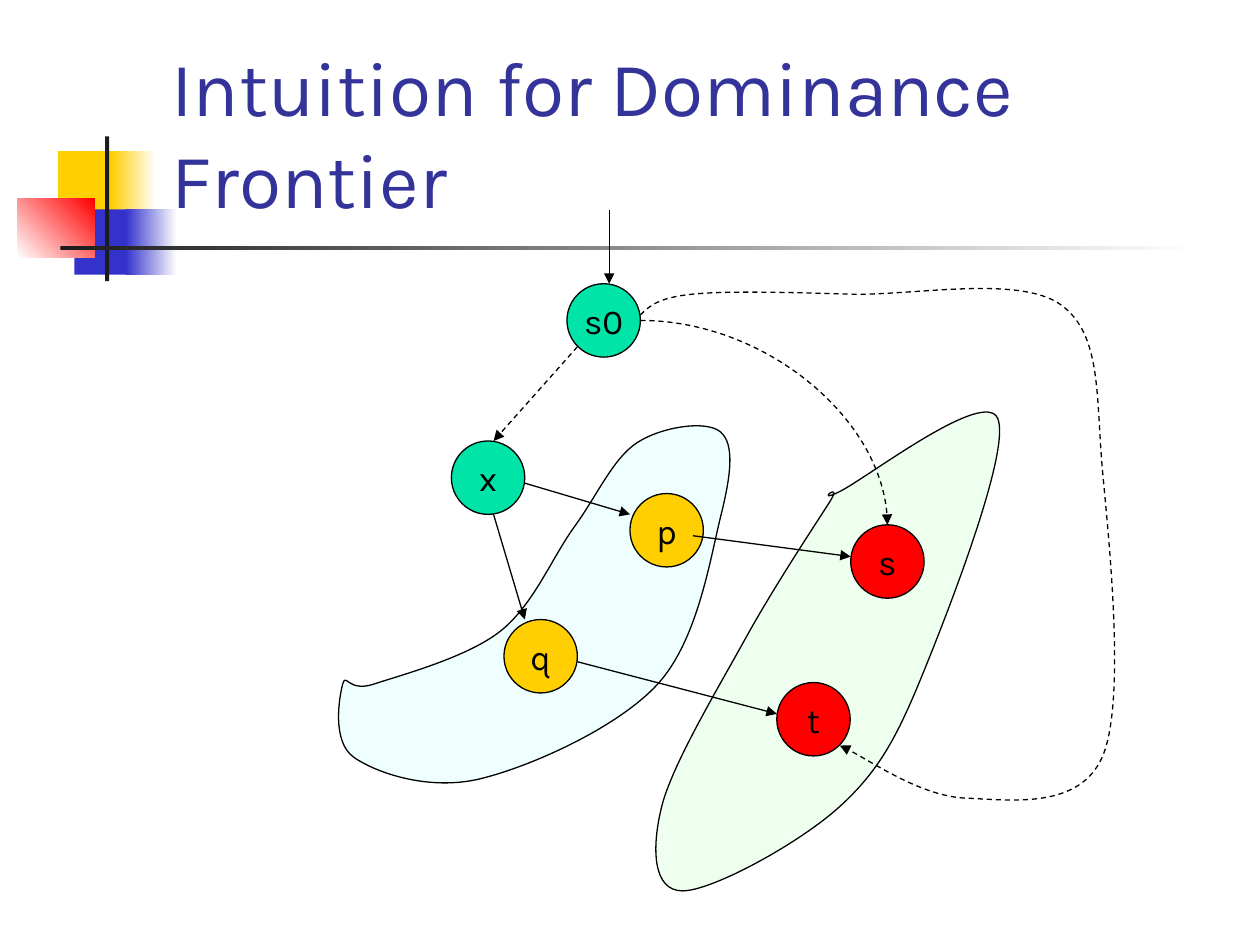
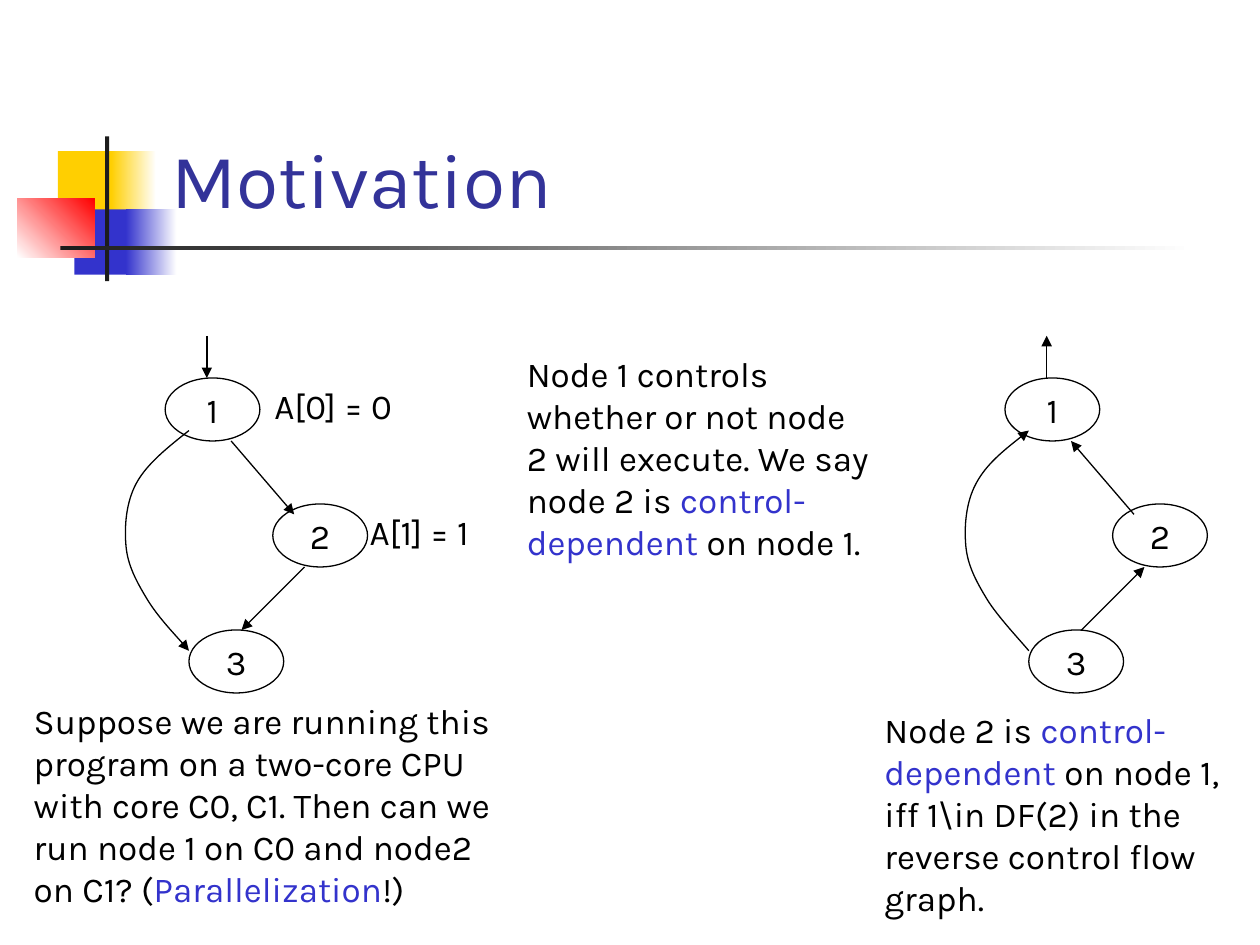
import pptx
import pptx.dml.color
import pptx.enum.dml
import pptx.enum.shapes
import pptx.enum.text
import pptx.oxml.ns
import pptx.util
from lxml import etree

Cm = pptx.util.Cm
FONT = "Karla"
TITLE_COLOR = "333399"
BLACK, WHITE, INK = "000000", "FFFFFF", "1C1C1C"
YELLOW, BLUE, RED, GREEN = "FFCF01", "3333CC", "FF0000", "00E4A8"
PALE_CYAN, PALE_GREEN = "CCFFFF", "CCFFCC"
TEXT_SIZE = 20
LINE_WIDTH = 0.75
CIRCLE = 1.48
OVAL = (1.91, 1.27)
REVERSE_GRAPH_SHIFT = 16.93


def rgb(color):
    return pptx.dml.color.RGBColor.from_string(color)


def qn(tag):
    return pptx.oxml.ns.qn(tag)


def add_runs(paragraph, runs, size=TEXT_SIZE):
    """Add (text, colour) pairs as separate runs."""
    for text, color in runs:
        run = paragraph.add_run()
        run.text = text
        run.font.name = FONT
        run.font.size = pptx.util.Pt(size)
        run.font.color.rgb = rgb(color)


def style_line(shape, dashed=False, arrow=None):
    """Draw a thin black line; arrow is None, "headEnd" or "tailEnd"."""
    shape.line.color.rgb = rgb(BLACK)
    shape.line.width = pptx.util.Pt(LINE_WIDTH)
    if dashed:
        shape.line.dash_style = pptx.enum.dml.MSO_LINE.DASH
    if arrow:
        line = shape.element.find(".//" + qn("a:ln"))
        etree.SubElement(line, qn("a:" + arrow), type="triangle")


def add_block(slide, left, top, width, height, colors, angle=0):
    """Add a borderless rectangle, plain for one colour and graded for two."""
    block = slide.shapes.add_shape(
        pptx.enum.shapes.MSO_SHAPE.RECTANGLE,
        Cm(left), Cm(top), Cm(width), Cm(height))
    block.shadow.inherit = False
    block.line.fill.background()
    if len(colors) == 1:
        block.fill.solid()
        block.fill.fore_color.rgb = rgb(colors[0])
    else:
        block.fill.gradient()
        block.fill.gradient_angle = angle
        for stop, color in zip(block.fill.gradient_stops, colors):
            stop.color.rgb = rgb(color)
    return block


def prepare_layout(layout):
    """Leave only the title on the layout and place it."""
    for placeholder in list(layout.placeholders):
        if placeholder.placeholder_format.idx != 0:
            placeholder.element.getparent().remove(placeholder.element)
    title = layout.placeholders[0]
    title.left, title.top = Cm(3.2), Cm(0.58)
    title.width, title.height = Cm(21.64), Cm(4.06)
    title.text_frame.vertical_anchor = pptx.enum.text.MSO_ANCHOR.BOTTOM
    title.text_frame.auto_size = pptx.enum.text.MSO_AUTO_SIZE.NONE


def decorate_layout(layout, slide):
    """Draw the emblem and rule on a slide, then move them behind the layout's title."""
    blocks = [
        add_block(slide, 1.17, 3.05, 1.22, 1.32, [YELLOW]),
        add_block(slide, 2.24, 3.05, 0.91, 1.32, [YELLOW, WHITE]),
        add_block(slide, 1.5, 4.22, 1.17, 1.32, [BLUE]),
        add_block(slide, 2.54, 4.22, 1.02, 1.32, [BLUE, WHITE]),
        add_block(slide, 0.35, 4.01, 1.56, 1.18, [WHITE, RED], angle=45),
        add_block(slide, 2.12, 2.75, 0.08, 2.92, [INK]),
        add_block(slide, 1.22, 4.95, 22.86, 0.09, [INK, WHITE]),
    ]
    title = layout.placeholders[0].element
    for block in blocks:
        title.addprevious(block.element)


def set_title(slide, text):
    paragraph = slide.shapes.title.text_frame.paragraphs[0]
    paragraph.alignment = pptx.enum.text.PP_ALIGN.LEFT
    add_runs(paragraph, [(text, TITLE_COLOR)], size=44)


def add_node(slide, label, left, top, width, height, color=None):
    node = slide.shapes.add_shape(
        pptx.enum.shapes.MSO_SHAPE.OVAL,
        Cm(left), Cm(top), Cm(width), Cm(height))
    node.shadow.inherit = False
    if color:
        node.fill.solid()
        node.fill.fore_color.rgb = rgb(color)
    else:
        node.fill.background()
    style_line(node)
    frame = node.text_frame
    frame.word_wrap = False
    frame.vertical_anchor = pptx.enum.text.MSO_ANCHOR.MIDDLE
    frame.paragraphs[0].alignment = pptx.enum.text.PP_ALIGN.CENTER
    add_runs(frame.paragraphs[0], [(label, BLACK)])


def add_arrow(slide, start, end, dashed=False, arrow="tailEnd", curved=False):
    kinds = pptx.enum.shapes.MSO_CONNECTOR
    connector = slide.shapes.add_connector(
        kinds.CURVE if curved else kinds.STRAIGHT,
        Cm(start[0]), Cm(start[1]), Cm(end[0]), Cm(end[1]))
    if curved:
        geometry = connector.element.find(".//" + qn("a:prstGeom"))
        geometry.set("prst", "curvedConnector2")
    style_line(connector, dashed, arrow)
    etree.SubElement(connector.element.spPr, qn("a:effectLst"))


def shifted(point, origin, target, share):
    """Move a point by a share of the way from origin to target."""
    return tuple(p + (t - o) * share for p, o, t in zip(point, origin, target))


def bezier_points(anchors, closed):
    """Return control, control, end for each segment of a smooth curve."""
    count = len(anchors)
    points = []
    for i in range(count if closed else count - 1):
        start, end = anchors[i], anchors[(i + 1) % count]
        before = anchors[i - 1]
        last = not closed and i == count - 2
        after = end if last else anchors[(i + 2) % count]
        second = shifted(end, after, start, 1 / 6)
        if i == 0 and not closed:
            first = shifted(start, start, second, 1 / 2)
        else:
            first = shifted(start, before, end, 1 / 6)
        points += [first, second, end]
    return points


def add_smooth_curve(slide, anchors, color=None, dashed=False, arrow=None):
    """Draw a closed region when a colour is given, otherwise an open curve."""
    closed = color is not None
    builder = slide.shapes.build_freeform(Cm(anchors[0][0]), Cm(anchors[0][1]))
    points = [(Cm(x), Cm(y)) for x, y in bezier_points(anchors, closed)]
    builder.add_line_segments(points, close=closed)
    curve = builder.convert_to_shape()
    curve.shadow.inherit = False
    segments = curve.element.findall(".//" + qn("a:lnTo"))
    for i in range(0, len(points), 3):
        bezier = etree.Element(qn("a:cubicBezTo"))
        segments[i].addprevious(bezier)
        for segment in segments[i:i + 3]:
            bezier.append(segment[0])
            segment.getparent().remove(segment)
    if closed:
        curve.fill.solid()
        curve.fill.fore_color.rgb = rgb(color)
        fill_color = curve.element.spPr.find(
            qn("a:solidFill") + "/" + qn("a:srgbClr"))
        etree.SubElement(fill_color, qn("a:alpha"), val="30000")
    else:
        curve.fill.background()
    style_line(curve, dashed, arrow)


def add_text(slide, left, top, width, height, runs):
    box = slide.shapes.add_textbox(Cm(left), Cm(top), Cm(width), Cm(height))
    box.text_frame.word_wrap = True
    box.text_frame.auto_size = pptx.enum.text.MSO_AUTO_SIZE.SHAPE_TO_FIT_TEXT
    add_runs(box.text_frame.paragraphs[0], runs)


def add_flow_graph(slide, shift=0, arrow="tailEnd"):
    """Draw the three-node graph; "headEnd" reverses its edges."""
    for label, left, top in [("1", 3.33, 7.62), ("2", 5.5, 10.16), ("3", 3.81, 12.7)]:
        add_node(slide, label, left + shift, top, *OVAL)
    edges = [
        ((4.17, 6.77), (4.17, 7.62)),
        ((4.66, 8.89), (5.93, 10.37)),
        ((6.14, 11.43), (4.87, 12.7)),
    ]
    for (x1, y1), (x2, y2) in edges:
        add_arrow(slide, (x1 + shift, y1), (x2 + shift, y2), arrow=arrow)
    bypass = [(3.81, 8.68), (2.75, 9.74), (2.54, 11.01), (2.96, 12.07), (3.81, 13.12)]
    add_smooth_curve(slide, [(x + shift, y) for x, y in bypass], arrow=arrow)


def build_frontier_slide(slide):
    set_title(slide, "Intuition for Dominance Frontier")
    dominated_region = [
        (11.58, 10.62), (10.08, 12.73), (7.54, 13.79), (6.91, 13.79), (7.14, 15.27),
        (9.68, 15.7), (13.26, 13.79), (14.53, 10.41), (14.53, 8.71), (12.85, 8.92)]
    frontier_region = [
        (16.72, 10.13), (15.03, 12.87), (13.34, 16.26), (13.76, 17.96),
        (16.93, 16.26), (18.63, 13.52), (20.11, 8.43), (16.93, 9.91)]
    add_smooth_curve(slide, dominated_region, PALE_CYAN)
    add_smooth_curve(slide, frontier_region, PALE_GREEN)

    nodes = [
        ("s0", 11.43, 5.72, GREEN), ("x", 9.1, 8.89, GREEN),
        ("q", 10.16, 12.49, YELLOW), ("p", 12.7, 9.95, YELLOW),
        ("s", 17.15, 10.58, RED), ("t", 15.66, 13.76, RED)]
    for label, left, top, color in nodes:
        add_node(slide, label, left, top, CIRCLE, CIRCLE, color)

    edges = [
        ((12.28, 4.23), (12.28, 5.72)),
        ((9.95, 10.37), (10.58, 12.49)),
        ((10.58, 9.74), (12.7, 10.37)),
        ((13.97, 10.8), (17.15, 11.22)),
        ((11.64, 13.34), (15.66, 14.39)),
    ]
    for start, end in edges:
        add_arrow(slide, start, end)
    add_arrow(slide, (11.64, 6.99), (9.95, 8.89), dashed=True)
    add_arrow(slide, (12.91, 6.46), (17.89, 10.58), dashed=True, curved=True)
    outer_route = [
        (12.91, 6.35), (13.97, 5.93), (17.15, 5.93), (21.38, 6.14),
        (22.23, 9.53), (22.23, 15.24), (19.47, 16.09), (16.93, 15.03)]
    add_smooth_curve(slide, outer_route, dashed=True, arrow="tailEnd")


def build_motivation_slide(slide):
    set_title(slide, "Motivation")
    add_flow_graph(slide)
    add_flow_graph(slide, REVERSE_GRAPH_SHIFT, "headEnd")
    add_text(slide, 5.28, 7.62, 3.6, 1.1, [("A[0] = 0", BLACK)])
    add_text(slide, 7.2, 10.16, 3.6, 1.1, [("A[1] = 1", BLACK)])
    add_text(slide, 0.43, 13.97, 10.16, 4.5, [
        ("Suppose we are running this program on a two-core CPU with core C0, C1. "
         "Then can we run node 1 on C0 and node2 on C1? (", BLACK),
        ("Parallelization", BLUE),
        ("!)", BLACK)])
    add_text(slide, 10.37, 6.98, 7.41, 4.5, [
        ("Node 1 controls whether or not node 2 will execute. We say node 2 is ", BLACK),
        ("control-dependent", BLUE),
        (" on node 1.", BLACK)])
    add_text(slide, 17.58, 14.15, 7.41, 4.5, [
        ("Node 2 is ", BLACK),
        ("control-dependent", BLUE),
        (" on node 1, iff 1\\in DF(2) in the reverse control flow graph.", BLACK)])


def main():
    presentation = pptx.Presentation()
    presentation.slide_width, presentation.slide_height = Cm(25.4), Cm(19.05)
    layout = presentation.slide_layouts[5]
    prepare_layout(layout)
    frontier_slide = presentation.slides.add_slide(layout)
    decorate_layout(layout, frontier_slide)
    build_frontier_slide(frontier_slide)
    build_motivation_slide(presentation.slides.add_slide(layout))
    presentation.save("out.pptx")


if __name__ == "__main__":
    main()
